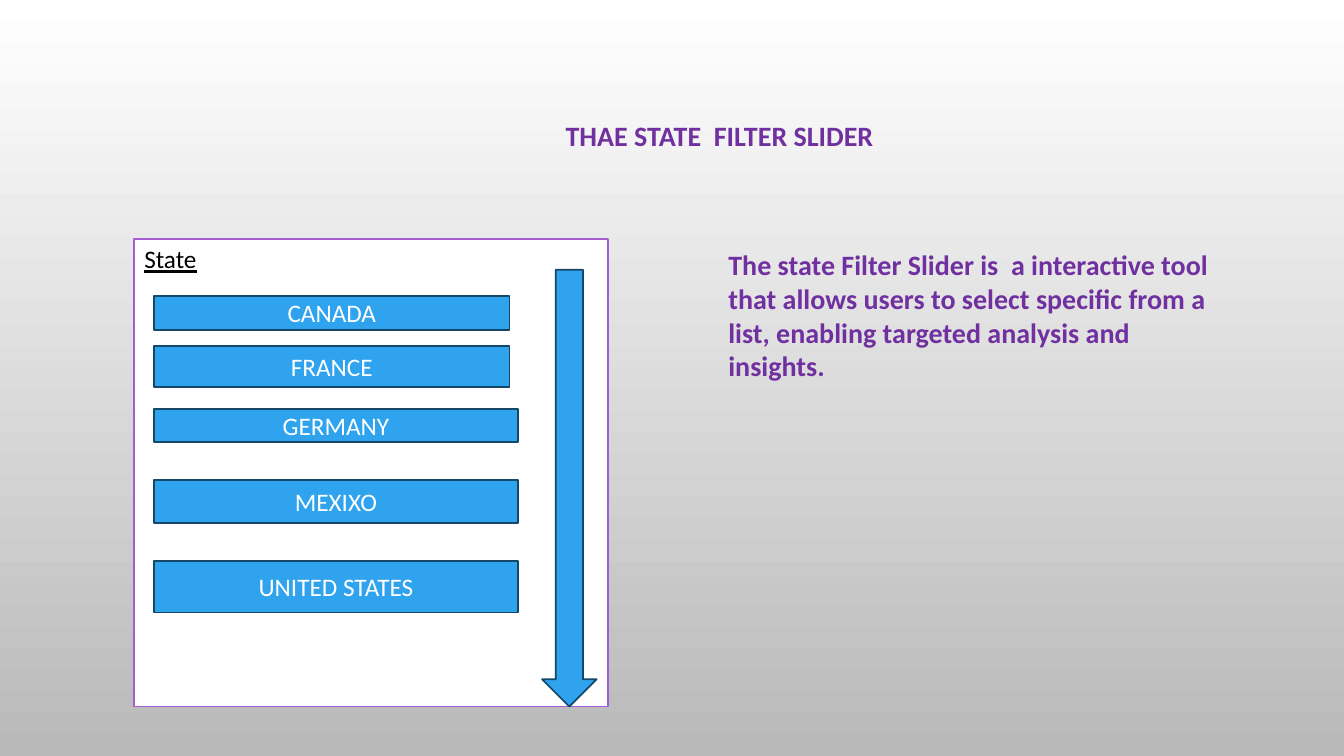
from pptx import Presentation
from pptx.dml.color import RGBColor
from pptx.enum.shapes import MSO_SHAPE
from pptx.enum.text import MSO_ANCHOR, PP_ALIGN
from pptx.util import Pt

RECT, ARROW = MSO_SHAPE.RECTANGLE, MSO_SHAPE.DOWN_ARROW
TOP, MIDDLE = MSO_ANCHOR.TOP, MSO_ANCHOR.MIDDLE
LEFT, CENTER = PP_ALIGN.LEFT, PP_ALIGN.CENTER

THEME = {
    "font": "Calibri",
    "head": 20, "label": 18, "line": 1.25,
    "white": "FFFFFF", "gray": "B9B9B9", "black": "000000",
    "purple": "7030A0", "frame": "A35DD1",
    "blue": "2FA3EE", "navy": "154768",
}


def color(name):
    return RGBColor.from_string(THEME[name])


def add_item(kind, box, text="", ink="white", size="label", align=CENTER,
             anchor=MIDDLE, fill="blue", line="navy"):
    """Add a shape, or a text box when kind is None; return its paragraph."""
    box = [Pt(n) for n in box]
    if kind is None:
        item = slide.shapes.add_textbox(*box)
    else:
        item = slide.shapes.add_shape(kind, *box)
        item.shadow.inherit = False
        item.fill.solid()
        item.fill.fore_color.rgb = color(fill)
        item.line.color.rgb = color(line)
        item.line.width = Pt(THEME["line"])
    frame = item.text_frame
    frame.word_wrap = True
    frame.vertical_anchor = anchor
    para = frame.paragraphs[0]
    para.text = text
    para.alignment = align
    para.font.name = THEME["font"]
    para.font.size = Pt(THEME[size])
    para.font.color.rgb = color(ink)
    return para


deck = Presentation()
deck.slide_width, deck.slide_height = Pt(960), Pt(540)
slide = deck.slides.add_slide(deck.slide_layouts[6])

# Background: white at the top, gray at the bottom
back = slide.background.fill
back.gradient()
back.gradient_angle = 270
for stop, name, place in zip(back.gradient_stops, ("white", "gray"), (0, 1)):
    stop.color.rgb = color(name)
    stop.position = place

# Title
title = add_item(None, (174.2, 81.4, 679.7, 31.5), "THAE STATE  FILTER SLIDER",
                 "purple", "head", anchor=TOP)
title.font.bold = True

# Filter panel
label = add_item(RECT, (96, 170.5, 338.4, 334.2), "State", "black",
                 align=LEFT, anchor=TOP, fill="white", line="frame")
label.font.underline = True

# Country bars: name, top, width, height
bars = [
    ("CANADA", 211.5, 254, 24),
    ("FRANCE", 247, 254, 29.5),
    ("GERMANY", 292, 260, 24),
    ("MEXIXO", 343, 260, 30.5),
    ("UNITED STATES", 401, 260, 36.5),
]
for name, top, width, height in bars:
    add_item(RECT, (110, top, width, height), name)

# Slider arrow
add_item(ARROW, (387.2, 192.7, 39, 312))

# Description
note = add_item(None, (513.2, 173.5, 360, 104.4),
                "The state Filter Slider is  a interactive tool that allows users "
                "to select specific from a list, enabling targeted analysis and "
                "insights.", "purple", "head", LEFT, TOP)
note.font.bold = True

deck.save("out.pptx")
